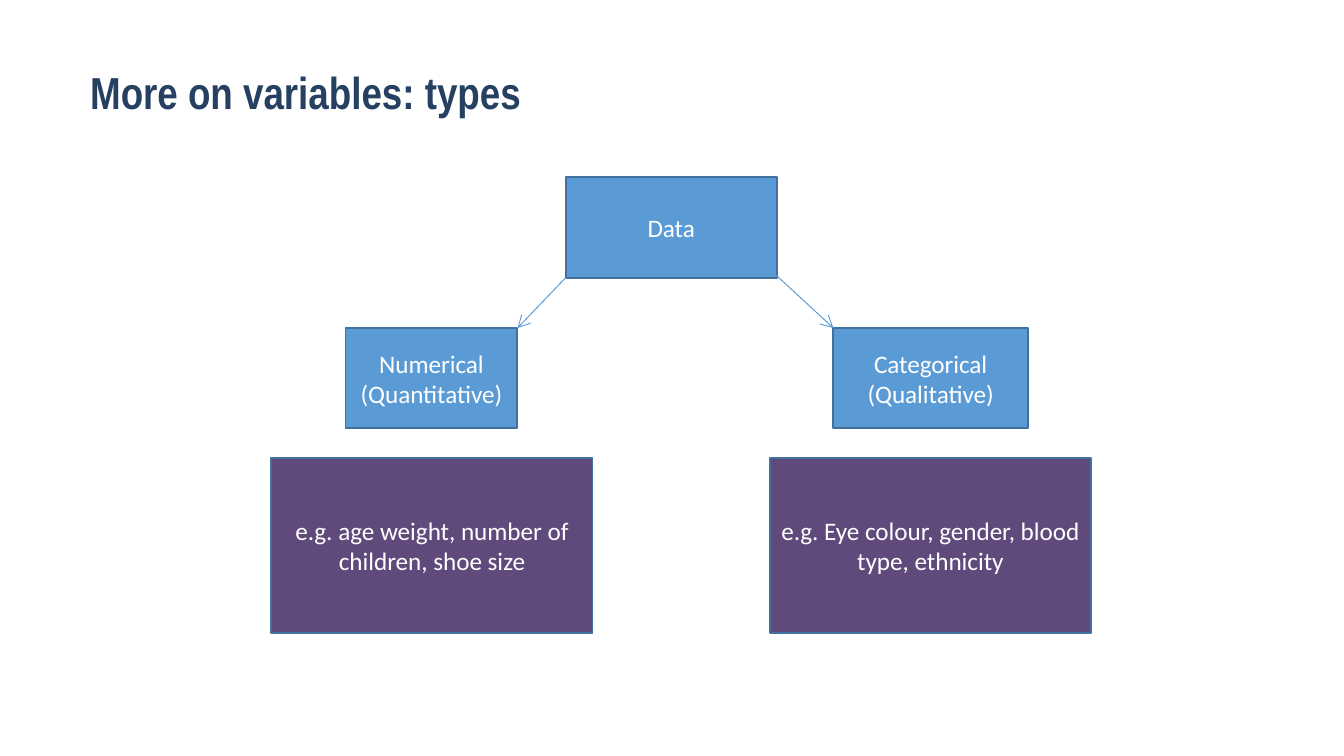
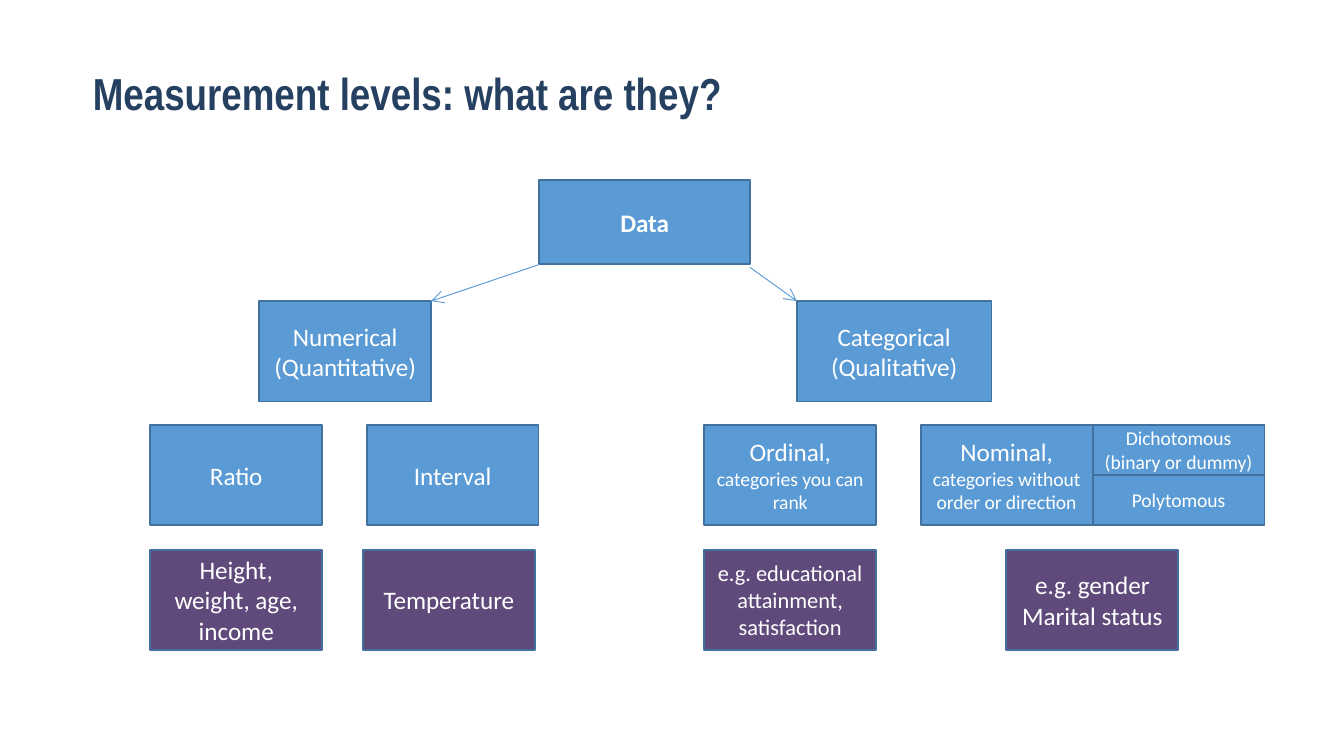
"""Build two slides on types of variables and levels of measurement."""
from lxml import etree
from pptx import Presentation
from pptx.dml.color import RGBColor
from pptx.enum.shapes import MSO_CONNECTOR, MSO_SHAPE
from pptx.enum.text import MSO_ANCHOR, MSO_AUTO_SIZE, PP_ALIGN
from pptx.oxml.ns import qn
from pptx.util import Cm, Pt

RECTANGLE = MSO_SHAPE.RECTANGLE
STRAIGHT = MSO_CONNECTOR.STRAIGHT
MIDDLE = MSO_ANCHOR.MIDDLE
NO_FIT = MSO_AUTO_SIZE.NONE
LEFT, CENTER = PP_ALIGN.LEFT, PP_ALIGN.CENTER

COLORS = {
    "title": "254061",
    "node": "5B9BD5",
    "example": "604A7B",
    "border": "41719C",
    "text": "FFFFFF",
}
TITLE_FONT, BODY_FONT = "Arial Narrow", "Calibri"
TITLE_ONLY = 5
TEXT_SIZE, SMALL_SIZE = 13.5, 10.5
ROOT_WIDTH, NUMERICAL_WIDTH, CATEGORICAL_WIDTH = 3.99, 3.25, 3.68
NODE_HEIGHT = 1.9
LEVEL_WIDTH, LEVEL_PITCH = 3.25, 4.09


def color(name):
    """Return the named colour of the palette."""
    return RGBColor.from_string(COLORS[name])


def add_span(para, text, size=TEXT_SIZE, font=BODY_FONT, ink="text", bold=False):
    """Add a formatted run to a paragraph."""
    span = para.add_run()
    span.text = text
    span.font.name = font
    span.font.size = Pt(size)
    span.font.bold = bold
    span.font.color.rgb = color(ink)


def add_page(deck, title, left, top, width, height):
    """Add a slide with its title placed and formatted."""
    page = deck.slides.add_slide(deck.slide_layouts[TITLE_ONLY])
    box = page.shapes.title
    box.left, box.top, box.width, box.height = map(Cm, (left, top, width, height))
    frame = box.text_frame
    frame.auto_size = NO_FIT
    frame.vertical_anchor = MIDDLE
    para = frame.paragraphs[0]
    para.alignment = LEFT
    add_span(para, title, size=24, font=TITLE_FONT, ink="title", bold=True)
    return page


def add_box(page, text, left, top, width, height=NODE_HEIGHT, fill="node",
            detail="", **style):
    """Add a bordered box with centred lines and an optional small detail."""
    box = page.shapes.add_shape(RECTANGLE, Cm(left), Cm(top), Cm(width), Cm(height))
    box.shadow.inherit = False
    box.fill.solid()
    box.fill.fore_color.rgb = color(fill)
    box.line.color.rgb = color("border")
    box.line.width = Pt(1)
    frame = box.text_frame
    frame.word_wrap = True
    frame.vertical_anchor = MIDDLE
    frame.margin_left = frame.margin_right = Cm(0.19)
    frame.margin_top = frame.margin_bottom = Cm(0.1)
    for index, line in enumerate(text.split("\n")):
        para = frame.add_paragraph() if index else frame.paragraphs[0]
        para.alignment = CENTER
        add_span(para, line, **style)
    if detail:
        add_span(para, detail, size=SMALL_SIZE)


def add_arrow(page, start, end):
    """Add a thin arrow between two points."""
    arrow = page.shapes.add_connector(STRAIGHT, *map(Cm, start + end))
    arrow.line.color.rgb = color("node")
    arrow.line.width = Pt(0.5)
    properties = arrow.element.spPr
    etree.SubElement(properties.find(qn("a:ln")), qn("a:tailEnd"), type="arrow")
    etree.SubElement(properties, qn("a:effectLst"))


def add_branches(page, root, root_height, numerical_left, categorical_left, top,
                 right_start, bold=False):
    """Add the data box and its two branches, joined by arrows."""
    left, root_top = root
    add_box(page, "Data", left, root_top, ROOT_WIDTH, root_height, bold=bold)
    add_box(page, "Numerical\n(Quantitative)", numerical_left, top, NUMERICAL_WIDTH)
    add_box(page, "Categorical\n(Qualitative)", categorical_left, top,
            CATEGORICAL_WIDTH)
    add_arrow(page, right_start, (categorical_left, top))
    add_arrow(page, (left, root_top + root_height),
              (numerical_left + NUMERICAL_WIDTH, top))


def build_types(deck):
    """Build the slide on variable types."""
    page = add_page(deck, "More on variables: types", 1.45, 0.91, 20.02, 1.65)
    add_branches(page, (10.69, 3.35), NODE_HEIGHT, 6.53, 15.75, 6.2, (14.45, 5))
    examples = (
        ("e.g. age weight, number of children, shoe size", 5.13),
        ("e.g. Eye colour, gender, blood type, ethnicity", 14.55),
    )
    for text, left in examples:
        add_box(page, text, left, 8.66, 6.07, 3.3, fill="example")


def build_levels(deck):
    """Build the slide on measurement levels."""
    page = add_page(deck, "Measurement levels: what are they?",
                    1.5, 1.04, 20.02, 1.42)
    add_branches(page, (10.19, 3.4), 1.6, 4.9, 15.06, 5.69, (14.17, 5.05), bold=True)

    level_top, example_top = 8.03, 10.39
    numerical_left, categorical_left = 2.84, 13.31
    nominal_left = categorical_left + LEVEL_PITCH
    levels = (
        ("Ratio", numerical_left, ""),
        ("Interval", numerical_left + LEVEL_PITCH, ""),
        ("Ordinal, ", categorical_left, "categories you can rank"),
        ("Nominal, ", nominal_left, "categories without order or direction"),
    )
    for text, left, detail in levels:
        add_box(page, text, left, level_top, LEVEL_WIDTH, detail=detail)

    half = NODE_HEIGHT / 2
    for row, text in enumerate(("Dichotomous\n(binary or dummy)", "Polytomous")):
        add_box(page, text, nominal_left + LEVEL_WIDTH, level_top + row * half,
                LEVEL_WIDTH, half, size=SMALL_SIZE)

    examples = (
        ("Height, weight, age, income", numerical_left, TEXT_SIZE),
        ("Temperature", 6.86, TEXT_SIZE),
        ("e.g. educational attainment, satisfaction", categorical_left, 12),
        ("e.g. gender\nMarital status", 19.02, TEXT_SIZE),
    )
    for text, left, size in examples:
        add_box(page, text, left, example_top, LEVEL_WIDTH, fill="example", size=size)


def main():
    """Build and save the deck."""
    deck = Presentation()
    deck.slide_width, deck.slide_height = Cm(25.4), Cm(14.29)
    build_types(deck)
    build_levels(deck)
    deck.save("out.pptx")


if __name__ == "__main__":
    main()
